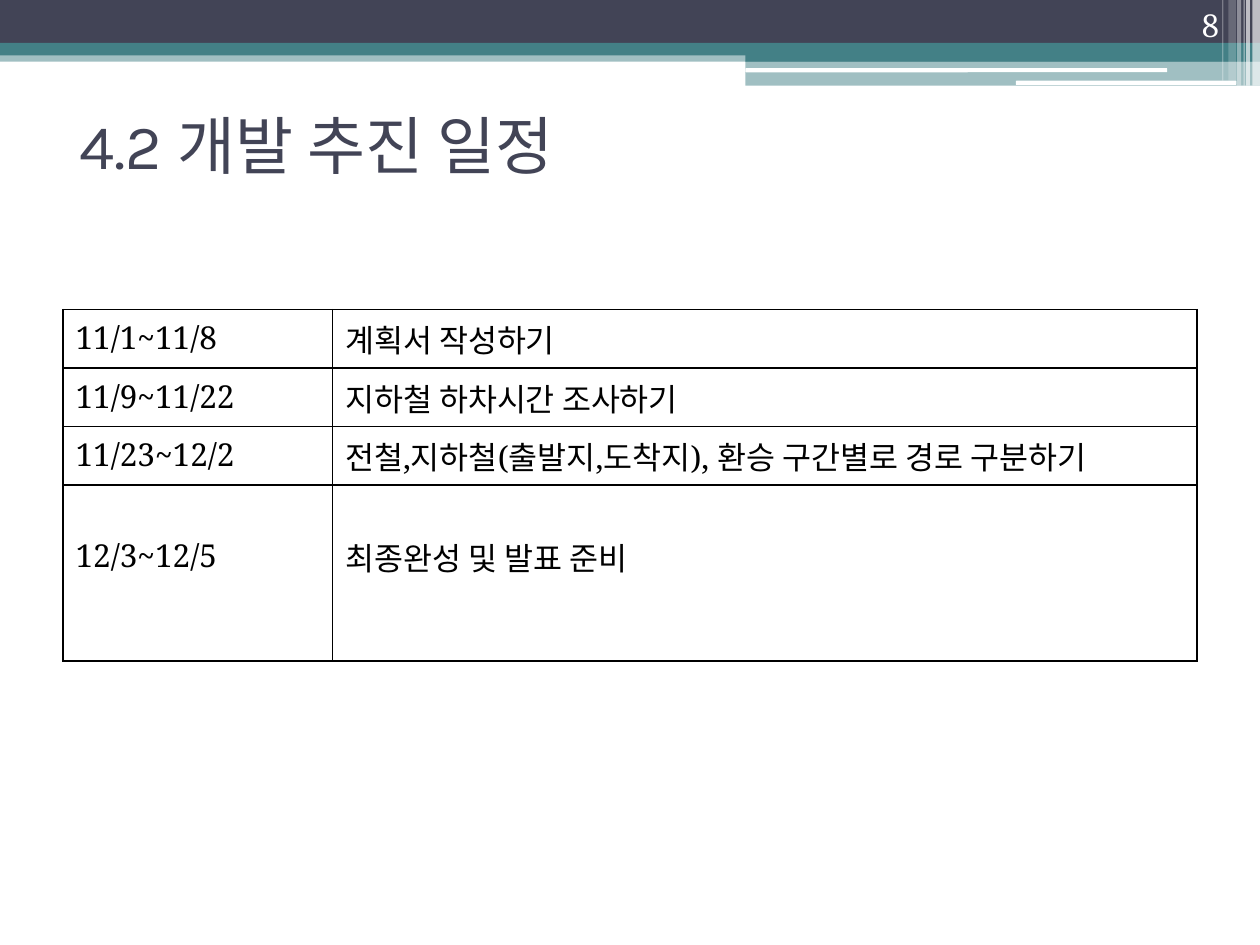
from lxml.etree import SubElement
from pptx import Presentation
from pptx.dml.color import RGBColor
from pptx.enum.shapes import MSO_SHAPE as Shape
from pptx.enum.text import MSO_ANCHOR as Anchor, PP_ALIGN as Align
from pptx.oxml.ns import qn
from pptx.util import Pt

NAVY, TEAL, WHITE, BLACK = "424456", "438086", "FFFFFF", "000000"
HEADING_FONT, BODY_FONT = "Karla", "Noto Serif"

SCHEDULE = [
    ("11/1~11/8", "계획서 작성하기"),
    ("11/9~11/22", "지하철 하차시간 조사하기"),
    ("11/23~12/2", "전철,지하철(출발지,도착지), 환승 구간별로 경로 구분하기"),
    ("12/3~12/5", "최종완성 및 발표 준비"),
]


def color(value):
    """Turn a hex string into a colour."""
    return RGBColor.from_string(value)


def add_span(para, text, size, font, fill):
    """Add one formatted run to a paragraph."""
    span = para.add_run()
    span.text = text
    span.font.size = Pt(size)
    span.font.name = font
    span.font.color.rgb = color(fill)


def add_bar(page, box, fill, opacity=100, kind=Shape.RECTANGLE):
    """Add a borderless bar, with opacity in percent."""
    bar = page.shapes.add_shape(kind, *map(Pt, box))
    bar.shadow.inherit = False
    bar.fill.solid()
    bar.fill.fore_color.rgb = color(fill)
    bar.line.fill.background()
    if opacity < 100:
        tint = bar.fill._xPr.find(".//" + qn("a:srgbClr"))
        SubElement(tint, qn("a:alpha"), val=str(opacity * 1000))


def add_banner(page, left, top, width):
    """Draw the layered bands and the stripes at their right end."""
    right = left + width
    step = left + 426
    add_bar(page, (left, top + 28.8, width, 6.5), TEAL, 50)
    add_bar(page, (left, top, width, 24.5), NAVY)
    add_bar(page, (left, top + 24.5, width, 7.2), TEAL)
    add_bar(page, (step, top + 28.1, right - step, 7.2), TEAL)
    add_bar(page, (step, top + 34.6, right - step, 14.4), TEAL, 50)
    for offset, drop, length in ((0, 38.9, 241), (154.5, 46.1, 126)):
        add_bar(page, (step + offset, top + drop, length, 2.4), WHITE,
                kind=Shape.ROUNDED_RECTANGLE)
    stripes = [(4.3, 4.3, 49, 65), (7.9, 2.2, 49, 65), (9.4, 0.7, 49, 60),
               (13, 2.2, 49, 40), (18, 4.3, 46.1, 20), (21.6, 0.7, 46.1, 30)]
    for inset, thickness, height, opacity in stripes:
        add_bar(page, (right - inset, top, thickness, height), WHITE, opacity)


def add_title(page, left, top, width, height):
    """Place the title in the upper half of its box."""
    title = page.shapes.title
    title.left, title.top, title.width, title.height = map(
        Pt, (left, top, width, height))
    frame = title.text_frame
    frame.word_wrap = True
    frame.vertical_anchor = Anchor.MIDDLE
    frame.margin_top, frame.margin_bottom = Pt(0), Pt(height / 2)
    para = frame.paragraphs[0]
    para.alignment = Align.LEFT
    add_span(para, "4.2 개발 추진 일정", 36, HEADING_FONT, NAVY)


def add_borders(cell):
    """Give a cell thin black lines on all sides."""
    props = cell._tc.get_or_add_tcPr()
    for position, side in enumerate(("lnL", "lnR", "lnT", "lnB")):
        line = SubElement(props, qn("a:" + side), w=str(Pt(1)))
        fill = SubElement(line, qn("a:solidFill"))
        SubElement(fill, qn("a:srgbClr"), val=BLACK)
        props.remove(line)
        props.insert(position, line)


def add_schedule(page, left, top, width):
    """Build the table of dates and tasks."""
    heights = [33.4] * 3 + [100.5]
    frame = page.shapes.add_table(
        len(SCHEDULE), 2, *map(Pt, (left, top, width, sum(heights))))
    table = frame.table
    table.first_row = table.horz_banding = False
    date_width = 154
    for column, size in zip(table.columns, (date_width, width - date_width)):
        column.width = Pt(size)
    for row, height, texts in zip(table.rows, heights, SCHEDULE):
        row.height = Pt(height)
        for cell, text in zip(row.cells, texts):
            cell.fill.background()
            add_borders(cell)
            if height > heights[0]:
                cell.margin_top = Pt(28)
            add_span(cell.text_frame.paragraphs[0], text, 18, BODY_FONT, BLACK)


def add_page_number(page, left, top, width, height):
    """Write the page number on the banner."""
    box = page.shapes.add_textbox(*map(Pt, (left, top, width, height)))
    frame = box.text_frame
    frame.word_wrap = True
    frame.vertical_anchor = Anchor.BOTTOM
    para = frame.paragraphs[0]
    para.alignment = Align.RIGHT
    add_span(para, "8", 18, BODY_FONT, WHITE)


def main():
    """Assemble and save the deck."""
    deck = Presentation()
    deck.slide_width, deck.slide_height = Pt(720), Pt(540)
    page = deck.slides.add_slide(deck.slide_layouts[5])
    add_banner(page, 0, 0, 720)
    add_title(page, 38, 61.2, 648, 84)
    add_schedule(page, 36, 177, 648)
    add_page_number(page, 643.7, 0, 60, 28.8)
    deck.save("out.pptx")


main()
